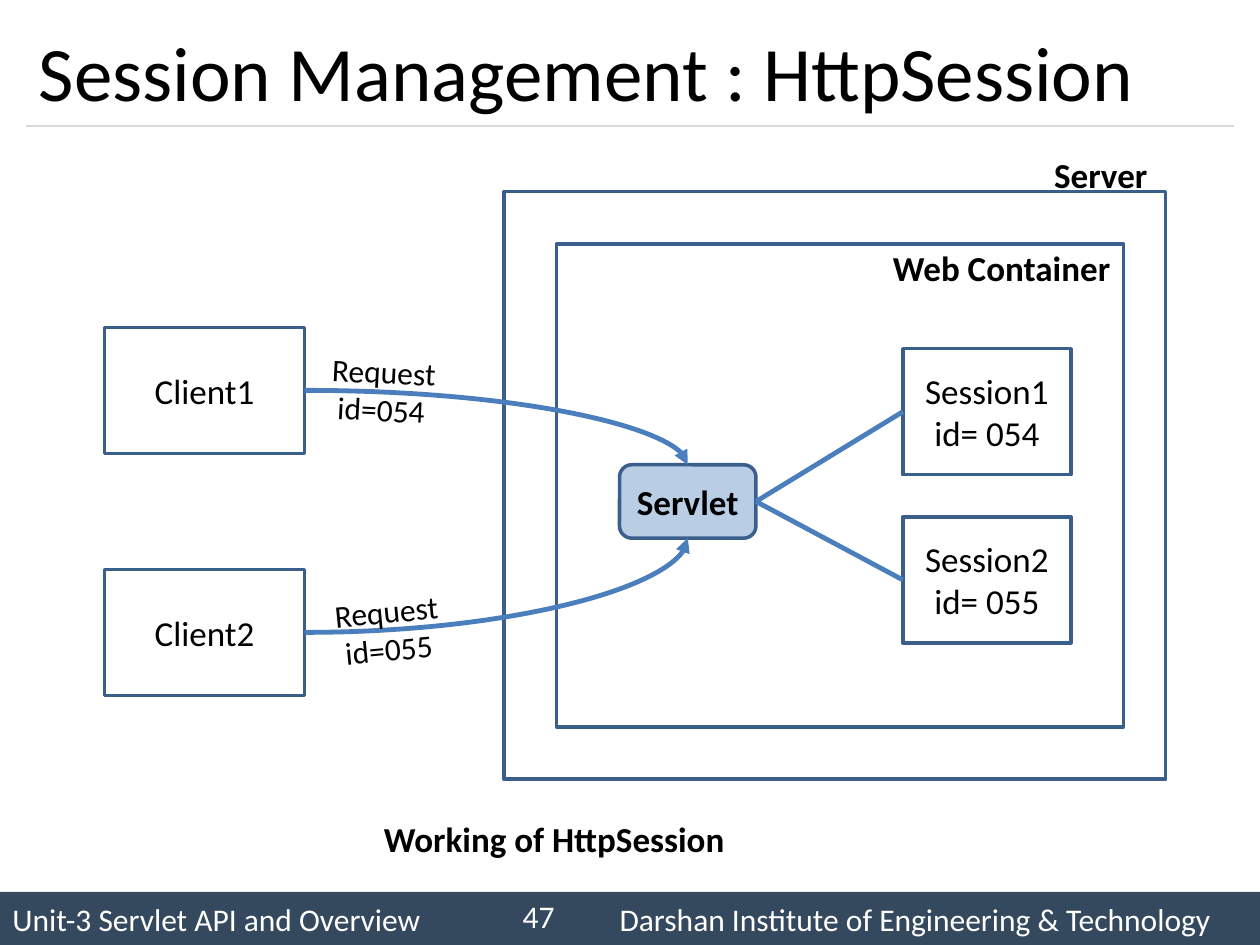
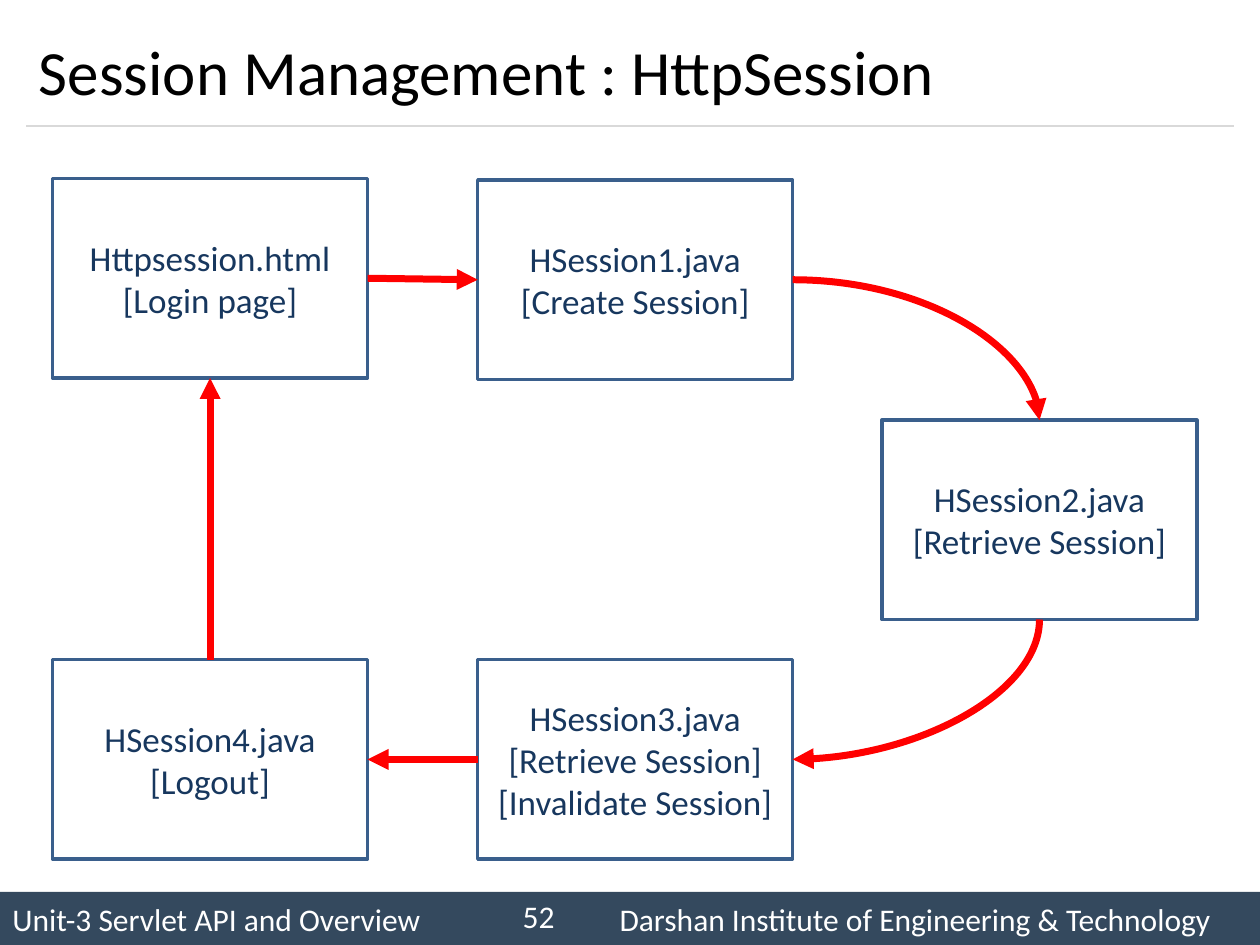
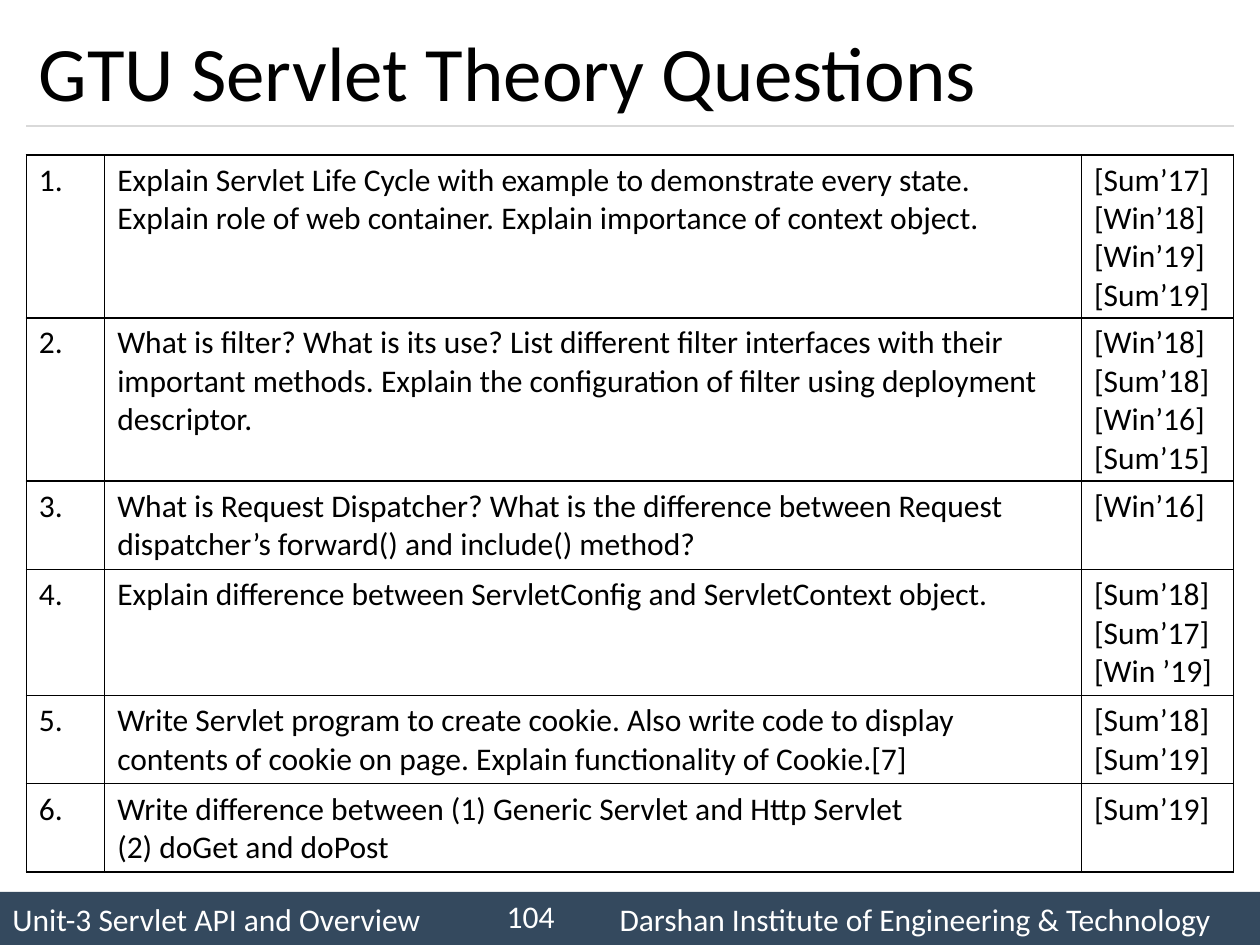
from lxml.etree import SubElement
from pptx import Presentation
from pptx.dml.color import RGBColor
from pptx.enum.shapes import MSO_CONNECTOR as Wire, MSO_SHAPE as Form
from pptx.enum.text import MSO_ANCHOR as Anchor, MSO_AUTO_SIZE as Auto, PP_ALIGN as Align
from pptx.oxml.ns import qn
from pptx.util import Cm, Pt

FONT = "Calibri"
BLACK, WHITE, NAVY, RED = "000000", "FFFFFF", "17375E", "FF0000"
BAND, RULE, EDGE, BLUE, PALE = "34495E", "D9D9D9", "3A5F8C", "4B7EBC", "B9CDE5"
LEFT, RIGHT, TOP, BOTTOM = (0, 0.5), (1, 0.5), (0.5, 0), (0.5, 1)

UNIT = "Unit-3 Servlet API and Overview"
SCHOOL = "Darshan Institute of Engineering & Technology"

# Each group of rows is a table: top, then number, question and exam terms.
GROUPS = [
    (3.12, [
        ("1.", "Explain Servlet Life Cycle with example to demonstrate every state.\n"
               "Explain role of web container. Explain importance of context object.",
         "[Sum’17]\n[Win’18]\n[Win’19]\n[Sum’19]"),
    ]),
    (6.4, [
        ("2.", "What is filter? What is its use? List different filter interfaces with "
               "their important methods. Explain the configuration of filter using "
               "deployment descriptor.",
         "[Win’18]\n[Sum’18]\n[Win’16]\n[Sum’15]"),
    ]),
    (9.7, [
        ("3.", "What is Request Dispatcher? What is the difference between Request "
               "dispatcher’s forward() and include() method?",
         "[Win’16]"),
        ("4.", "Explain difference between ServletConfig and ServletContext object.",
         "[Sum’18]\n[Sum’17]\n[Win ’19]"),
        ("5.", "Write Servlet program to create cookie. Also write code to display "
               "contents of cookie on page. Explain functionality of Cookie.[7]",
         "[Sum’18]\n[Sum’19]"),
        ("6.", "Write difference between (1) Generic Servlet and Http Servlet\n"
               "(2) doGet and doPost",
         "[Sum’19]"),
    ]),
]


def hue(code):
    return RGBColor.from_string(code)


def write(frame, text, size=20, color=BLACK, bold=False, align=Align.LEFT, anchor=None):
    """Fill a text frame, one paragraph for each line of text."""
    frame.text = text
    if anchor is not None:
        frame.vertical_anchor = anchor
    for para in frame.paragraphs:
        para.alignment = align
        for run in para.runs:
            font = run.font
            font.name, font.size, font.bold = FONT, Pt(size), bold
            font.color.rgb = hue(color)


def add_box(slide, x, y, w, h, text="", form=Form.RECTANGLE, fill=None, edge=EDGE,
            align=Align.CENTER, **style):
    box = slide.shapes.add_shape(form, Cm(x), Cm(y), Cm(w), Cm(h))
    box.shadow.inherit = False
    if fill:
        box.fill.solid()
        box.fill.fore_color.rgb = hue(fill)
    else:
        box.fill.background()
    if edge:
        box.line.color.rgb = hue(edge)
        box.line.width = Pt(2)
    else:
        box.line.fill.background()
    if text:
        write(box.text_frame, text, align=align, anchor=Anchor.MIDDLE, **style)
    return box


def add_label(slide, x, y, w, h, text, turn=0, **style):
    label = slide.shapes.add_textbox(Cm(x), Cm(y), Cm(w), Cm(h))
    label.rotation = turn
    label.text_frame.word_wrap = False
    write(label.text_frame, text, **style)


def add_line(slide, start, stop, color, width, curve=False, head=None):
    """Draw a line; head is headEnd or tailEnd for an arrow at start or stop."""
    kind = Wire.CURVE if curve else Wire.STRAIGHT
    line = slide.shapes.add_connector(kind, *start, *stop)
    line.line.color.rgb = hue(color)
    line.line.width = Pt(width)
    props = line._element.spPr
    if curve:
        props.find(qn("a:prstGeom")).set("prst", "curvedConnector2")
    if head:
        SubElement(props.find(qn("a:ln")), qn("a:" + head), type="triangle")
    SubElement(props, qn("a:effectLst"))


def link(slide, box, side, other, goal, color=RED, width=4, **style):
    """Join a side of one box to a side of another."""
    start, stop = [
        (int(b.left + b.width * fx), int(b.top + b.height * fy))
        for b, (fx, fy) in ((box, side), (other, goal))
    ]
    add_line(slide, start, stop, color, width, **style)


def add_page(deck, title, number, size=44):
    """Add a slide with its title, rule, footer band and page number."""
    slide = deck.slides.add_slide(deck.slide_layouts[5])
    head = slide.shapes.title
    head.left, head.top, head.width, head.height = Cm(0.53), Cm(0.3), Cm(24.34), Cm(2.24)
    head.text_frame.auto_size = Auto.NONE
    write(head.text_frame, title, size=size, anchor=Anchor.MIDDLE)
    add_line(slide, (Cm(0.53), Cm(2.54)), (Cm(24.87), Cm(2.54)), RULE, 0.75)

    band = add_box(slide, 0, 17.98, 25.4, 1.07, f"{UNIT}\t{SCHOOL}", fill=BAND,
                   edge=None, align=Align.LEFT, size=18, color=WHITE)
    props = band.text_frame.paragraphs[0]._p.get_or_add_pPr()
    tabs = SubElement(props, qn("a:tabLst"))
    SubElement(tabs, qn("a:tab"), pos=str(Cm(12.24)), algn="l")
    add_label(slide, 9.73, 17.96, 1.7, 1.02, number, size=18, color=WHITE,
              align=Align.RIGHT, anchor=Anchor.MIDDLE)
    return slide


def set_edges(cell):
    props = cell._tc.get_or_add_tcPr()
    for at, side in enumerate(("lnL", "lnR", "lnT", "lnB")):
        edge = props.makeelement(qn("a:" + side), {"w": str(Pt(1))})
        fill = SubElement(edge, qn("a:solidFill"))
        SubElement(fill, qn("a:srgbClr"), val=BLACK)
        props.insert(at, edge)


def add_grid(slide, top, rows):
    # Every question needs room for two lines at least.
    heights = [0.76 * max(2, len(row[2].split("\n"))) + 0.25 for row in rows]
    grid = slide.shapes.add_table(len(rows), 3, Cm(0.53), Cm(top),
                                  Cm(24.34), Cm(sum(heights))).table
    grid.first_row = grid.horz_banding = False
    for col, width in zip(grid.columns, (1.58, 19.69, 3.07)):
        col.width = Cm(width)
    for line, height, row in zip(grid.rows, heights, rows):
        line.height = Cm(height)
        for cell, text in zip(line.cells, row):
            cell.fill.background()
            set_edges(cell)
            write(cell.text_frame, text, size=18)


def draw_server(deck):
    slide = add_page(deck, "Session Management : HttpSession", "47")
    add_box(slide, 10.16, 3.86, 13.34, 11.85)
    add_box(slide, 11.22, 4.92, 11.43, 9.74)
    servlet = add_box(slide, 12.49, 9.37, 2.75, 1.48, "Servlet", fill=PALE, bold=True,
                      form=Form.FLOWCHART_ALTERNATE_PROCESS)
    step = Form.FLOWCHART_PROCESS
    pairs = [("1", "054", 7.03, 6.6, TOP), ("2", "055", 10.42, 11.48, BOTTOM)]
    for num, code, high, low, side in pairs:
        room = add_box(slide, 18.2, high, 3.39, 2.54, f"Session{num}\nid= {code}", form=step)
        client = add_box(slide, 2.11, low, 4.03, 2.54, f"Client{num}", form=step)
        link(slide, client, RIGHT, servlet, side, BLUE, 2.75, curve=True, head="tailEnd")
        link(slide, servlet, RIGHT, room, LEFT, BLUE, 2.75)

    add_label(slide, 6.43, 6.98, 2.62, 1.8, "Request\n id=054", turn=2.9, size=18)
    add_label(slide, 6.53, 11.81, 2.62, 1.8, "Request\n id=055", turn=354.6, size=18)
    add_label(slide, 21, 2.97, 2.41, 1.12, "Server", bold=True)
    add_label(slide, 17.75, 4.85, 4.93, 1.12, "Web Container", bold=True)
    add_label(slide, 7.49, 16.36, 7.47, 1.12, "Working of HttpSession", bold=True)


def draw_flow(deck):
    slide = add_page(deck, "Session Management : HttpSession", "52", size=36)
    steps = [
        (1.06, 3.6, "Httpsession.html\n[Login page]"),
        (9.63, 3.63, "HSession1.java\n[Create Session]"),
        (17.78, 8.47, "HSession2.java\n[Retrieve Session]"),
        (9.63, 13.3, "HSession3.java\n[Retrieve Session]\n[Invalidate Session]"),
        (1.06, 13.3, "HSession4.java\n[Logout]"),
    ]
    login, make, fetch, drop, leave = [
        add_box(slide, x, y, 6.35, 4.02, text, color=NAVY) for x, y, text in steps
    ]
    link(slide, login, RIGHT, make, LEFT, head="tailEnd")
    link(slide, make, RIGHT, fetch, TOP, curve=True, head="tailEnd")
    # The curve leaves its start sideways, so this one runs against the arrow.
    link(slide, drop, RIGHT, fetch, BOTTOM, curve=True, head="headEnd")
    link(slide, drop, LEFT, leave, RIGHT, head="tailEnd")
    link(slide, leave, TOP, login, BOTTOM, head="tailEnd")


def draw_quiz(deck):
    slide = add_page(deck, "GTU Servlet Theory Questions", "104")
    for top, rows in GROUPS:
        add_grid(slide, top, rows)


def main():
    deck = Presentation()
    deck.slide_width, deck.slide_height = Cm(25.4), Cm(19.05)
    draw_server(deck)
    draw_flow(deck)
    draw_quiz(deck)
    deck.save("out.pptx")


if __name__ == "__main__":
    main()
